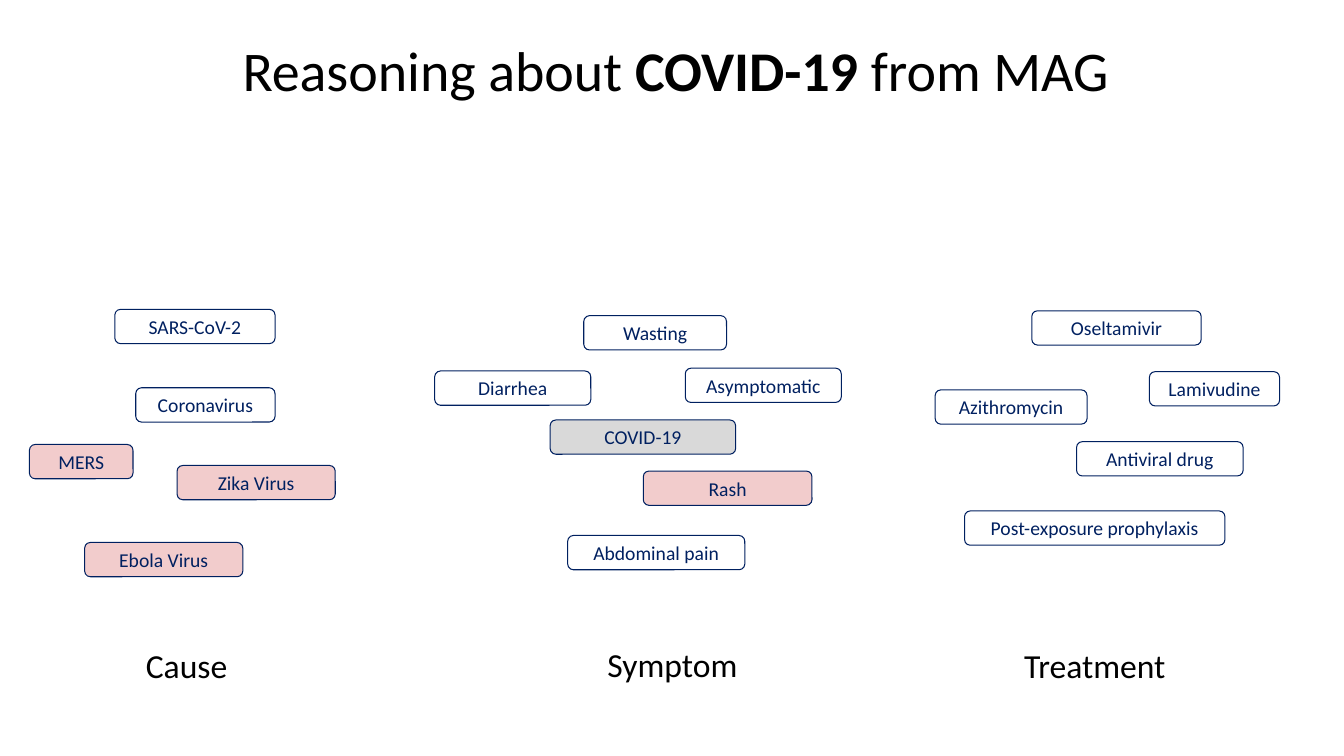
from pptx import Presentation
from pptx.dml.color import RGBColor
from pptx.enum.shapes import MSO_SHAPE
from pptx.enum.text import MSO_ANCHOR, MSO_AUTO_SIZE, PP_ALIGN
from pptx.oxml.ns import qn
from pptx.util import Pt
from lxml import etree

ROUND = MSO_SHAPE.ROUNDED_RECTANGLE
MIDDLE = MSO_ANCHOR.MIDDLE
CENTER = PP_ALIGN.CENTER
FIXED = MSO_AUTO_SIZE.NONE

COLORS = {"navy": "002060", "white": "FFFFFF", "gray": "D9D9D9",
          "red": "C00000", "black": "000000"}
FONT = "Calibri"
HEIGHT = 24.5


def paint(name):
    return RGBColor.from_string(COLORS[name])


def write(frame, parts, size, color):
    frame.word_wrap = True
    para = frame.paragraphs[0]
    para.alignment = CENTER
    for text, bold in parts:
        run = para.add_run()
        run.text = text
        run.font.name = FONT
        run.font.size = Pt(size)
        run.font.bold = bold
        run.font.color.rgb = paint(color)
    return para


deck = Presentation()
deck.slide_width = Pt(960)
deck.slide_height = Pt(540)
slide = deck.slides.add_slide(deck.slide_layouts[5])

title = slide.shapes.title
title.left, title.top, title.width, title.height = Pt(68.5), Pt(0.5), Pt(828), Pt(104.5)
frame = title.text_frame
frame.auto_size = FIXED
frame.vertical_anchor = MIDDLE
para = write(frame, [("Reasoning about ", False), ("COVID-19 ", True),
                     ("from MAG", False)], 40, "black")
para.line_spacing = 0.9

groups = [
    ("Cause", 70, 457, 126.5, [
        ("SARS-CoV-2", 82, 221, 114.5, "white"),
        ("Coronavirus", 97, 277, 99.5, "white"),
        ("MERS", 21, 317.5, 74, "red"),
        ("Zika Virus", 126.5, 332.5, 113, "red"),
        ("Ebola Virus", 60.5, 387.5, 113, "red"),
    ]),
    ("Symptom", 417, 456.5, 126.5, [
        ("Wasting", 417, 225.5, 102, "white"),
        ("Diarrhea", 310.5, 265, 111.5, "white"),
        ("Asymptomatic", 489.5, 263, 111.5, "white"),
        ("COVID-19", 393, 300, 132.5, "gray"),
        ("Rash", 459.5, 336.5, 120.5, "red"),
        ("Abdominal pain", 405.5, 382.5, 126.5, "white"),
    ]),
    ("Treatment", 713.5, 457, 137, [
        ("Oseltamivir", 737, 222, 121, "white"),
        ("Lamivudine", 821, 265.5, 93, "white"),
        ("Azithromycin", 668, 278.5, 108.5, "white"),
        ("Antiviral drug", 769, 315.5, 119, "white"),
        ("Post-exposure prophylaxis", 689, 365, 186, "white"),
    ]),
]

for group, left, top, width, terms in groups:
    for term, x, y, wide, fill in terms:
        box = slide.shapes.add_shape(ROUND, Pt(x), Pt(y), Pt(wide), Pt(HEIGHT))
        box.shadow.inherit = False
        box.fill.solid()
        box.fill.fore_color.rgb = paint(fill)
        if fill == "red":
            shade = box.fill._xPr.find(qn("a:solidFill"))[0]
            etree.SubElement(shade, qn("a:alpha"), val="20000")
        box.line.color.rgb = paint("navy")
        box.line.width = Pt(0.75)
        box.text_frame.vertical_anchor = MIDDLE
        write(box.text_frame, [(term, False)], 14, "navy")
    label = slide.shapes.add_textbox(Pt(left), Pt(top), Pt(width), Pt(36))
    write(label.text_frame, [(group, False)], 24, "black")

deck.save("out.pptx")
